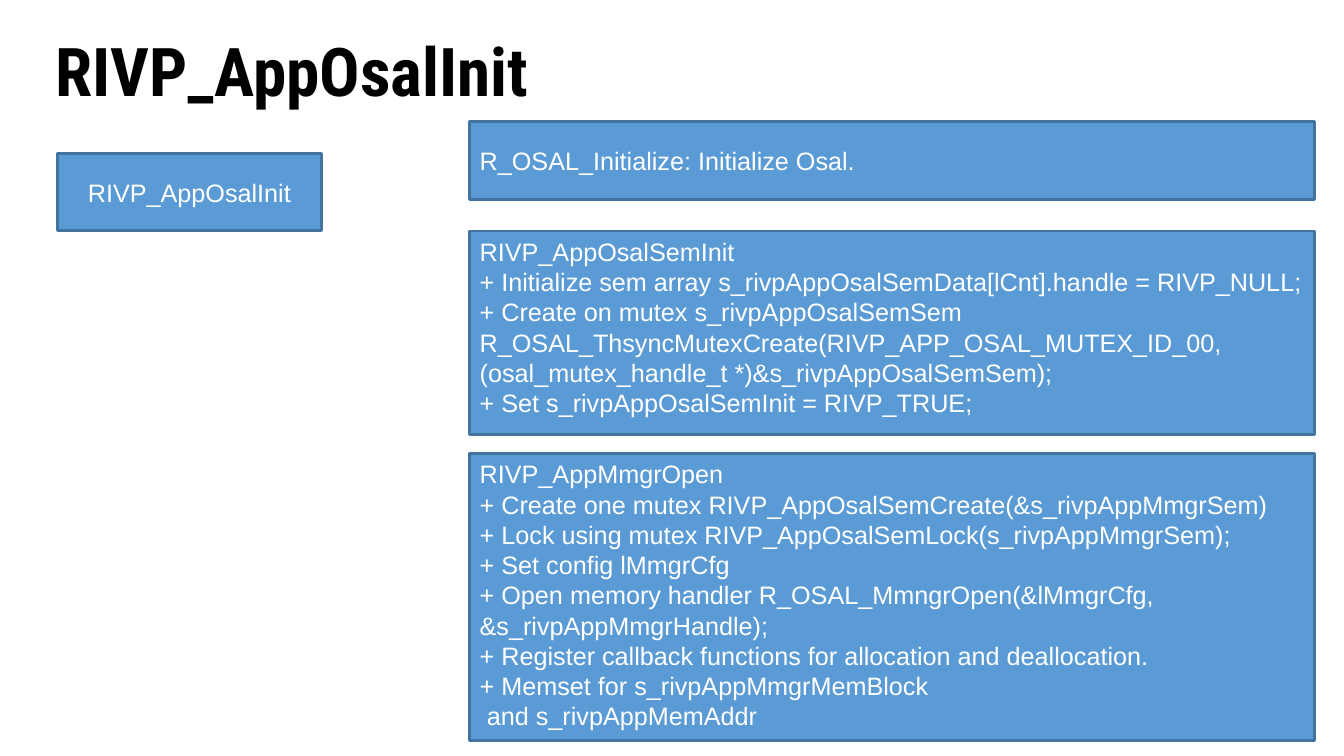
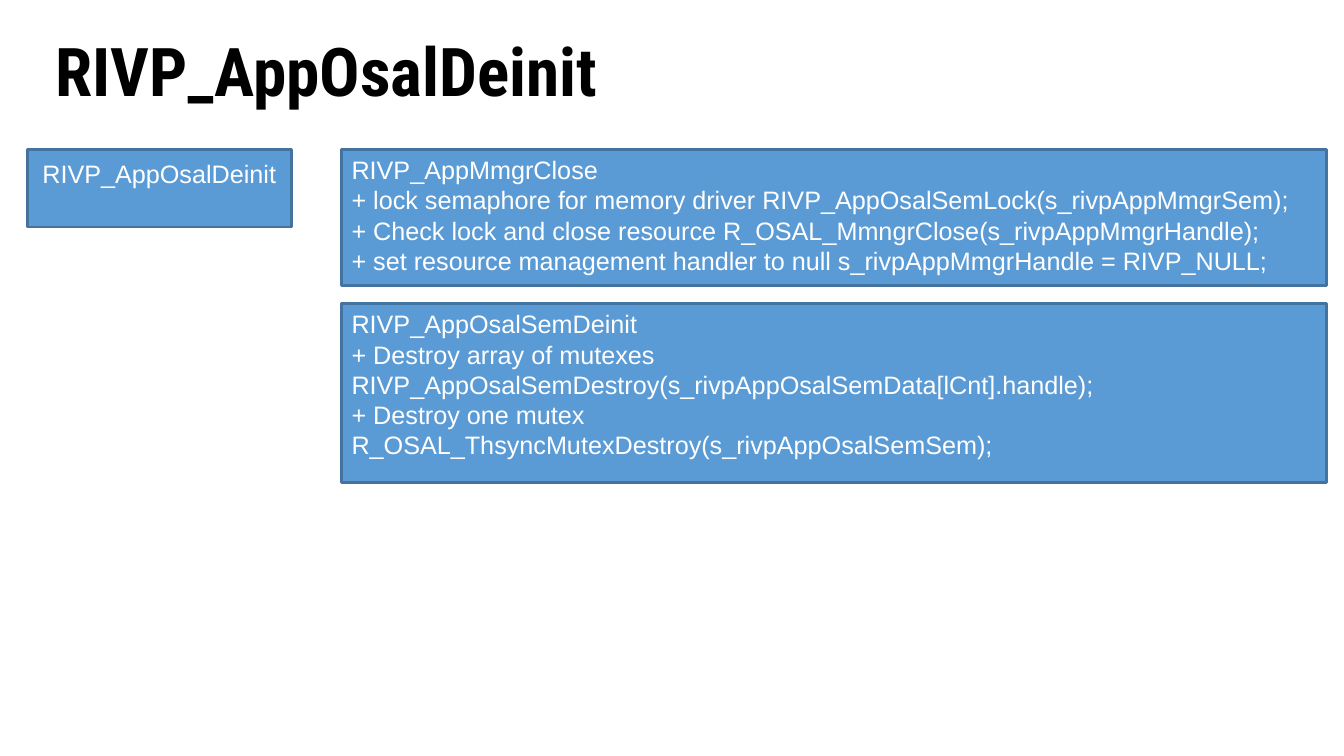
"""Build two slides that outline the OSAL start-up and shut-down calls."""
from dataclasses import dataclass

import pptx
import pptx.dml.color
import pptx.enum.shapes
import pptx.enum.text
import pptx.util

Cm = pptx.util.Cm
Anchor = pptx.enum.text.MSO_ANCHOR
Align = pptx.enum.text.PP_ALIGN
color = pptx.dml.color.RGBColor.from_string

SLIDES = [
    {
        "title": "RIVP_AppOsalInit",
        "label": {"left": 1.45, "top": 3.86, "anchor": Anchor.MIDDLE},
        "column": {"left": 11.84, "width": 21.29},
        "steps": [
            {"top": 3.07, "height": 1.96, "anchor": Anchor.MIDDLE,
             "lines": ["R_OSAL_Initialize: Initialize Osal."]},
            {"top": 5.82, "height": 5.13, "lines": [
                "RIVP_AppOsalSemInit",
                "+ Initialize sem array s_rivpAppOsalSemData[lCnt].handle = RIVP_NULL;",
                "+ Create on mutex s_rivpAppOsalSemSem "
                "R_OSAL_ThsyncMutexCreate(RIVP_APP_OSAL_MUTEX_ID_00, "
                "(osal_mutex_handle_t *)&s_rivpAppOsalSemSem);",
                "+ Set s_rivpAppOsalSemInit = RIVP_TRUE;",
            ]},
            {"top": 11.43, "height": 7.24, "indented": {"and s_rivpAppMemAddr"}, "lines": [
                "RIVP_AppMmgrOpen",
                "+ Create one mutex RIVP_AppOsalSemCreate(&s_rivpAppMmgrSem)",
                "+ Lock using mutex RIVP_AppOsalSemLock(s_rivpAppMmgrSem);",
                "+ Set config lMmgrCfg",
                "+ Open memory handler R_OSAL_MmngrOpen(&lMmgrCfg, &s_rivpAppMmgrHandle);",
                "+ Register callback functions for allocation and deallocation.",
                "+ Memset for s_rivpAppMmgrMemBlock",
                "and s_rivpAppMemAddr",
            ]},
        ],
    },
    {
        "title": "RIVP_AppOsalDeinit",
        "label": {"left": 0.69, "top": 3.76, "anchor": Anchor.TOP, "top_margin": 0.22},
        "column": {"left": 8.61, "width": 24.82},
        "steps": [
            {"top": 3.76, "height": 3.43, "lines": [
                "RIVP_AppMmgrClose",
                "+ lock semaphore for memory driver RIVP_AppOsalSemLock(s_rivpAppMmgrSem);",
                "+ Check lock and close resource R_OSAL_MmngrClose(s_rivpAppMmgrHandle);",
                "+ set resource management handler to null s_rivpAppMmgrHandle = RIVP_NULL;",
            ]},
            {"top": 7.65, "height": 4.5, "lines": [
                "RIVP_AppOsalSemDeinit",
                "+ Destroy array of mutexes "
                "RIVP_AppOsalSemDestroy(s_rivpAppOsalSemData[lCnt].handle);",
                "+ Destroy one mutex",
                "R_OSAL_ThsyncMutexDestroy(s_rivpAppOsalSemSem);",
            ]},
        ],
    },
]


@dataclass(frozen=True)
class Theme:
    title_font: str = "Roboto Condensed"
    body_font: str = "Arial"
    title_size: int = 48
    body_size: int = 18
    title_color: str = "000000"
    body_color: str = "FFFFFF"
    fill: str = "5B9BD5"
    line: str = "43739E"
    line_width: int = 2
    title_box: tuple = (1.22, 0.71, 31.42, 2.34)
    label_size: tuple = (6.65, 1.96)
    indent: float = 0.18


THEME = Theme()


def write_text(shape, lines, font=THEME.body_font, size=THEME.body_size,
               text_color=THEME.body_color, bold=False, align=Align.LEFT,
               anchor=Anchor.TOP, spacing=1.0, margins=(0.25, 0.13), indented=()):
    frame = shape.text_frame
    frame.word_wrap = True
    frame.vertical_anchor = anchor
    frame.margin_left = frame.margin_right = Cm(margins[0])
    frame.margin_top = Cm(margins[1])
    for index, line in enumerate(lines):
        paragraph = frame.add_paragraph() if index else frame.paragraphs[0]
        if line in indented:
            paragraph._p.get_or_add_pPr().set("marL", str(Cm(THEME.indent)))
        paragraph.alignment = align
        paragraph.line_spacing = spacing
        run = paragraph.add_run()
        run.text = line
        run.font.name = font
        run.font.size = pptx.util.Pt(size)
        run.font.bold = bold
        run.font.color.rgb = color(text_color)


def add_box(slide, box, lines, **text_format):
    shape = slide.shapes.add_shape(pptx.enum.shapes.MSO_SHAPE.RECTANGLE, *map(Cm, box))
    shape.shadow.inherit = False
    shape.fill.solid()
    shape.fill.fore_color.rgb = color(THEME.fill)
    shape.line.color.rgb = color(THEME.line)
    shape.line.width = pptx.util.Pt(THEME.line_width)
    write_text(shape, lines, **text_format)


def add_slide(presentation, content):
    slide = presentation.slides.add_slide(presentation.slide_layouts[6])
    title = slide.shapes.add_textbox(*map(Cm, THEME.title_box))
    write_text(title, [content["title"]], font=THEME.title_font, size=THEME.title_size,
               text_color=THEME.title_color, bold=True, anchor=Anchor.MIDDLE,
               spacing=0.9, margins=(0.18, 0.1))
    title.text_frame.margin_bottom = Cm(0.1)

    label = content["label"]
    add_box(slide, (label["left"], label["top"], *THEME.label_size), [content["title"]],
            align=Align.CENTER, anchor=label["anchor"],
            margins=(0.25, label.get("top_margin", 0.13)))

    column = content["column"]
    for step in content["steps"]:
        add_box(slide, (column["left"], step["top"], column["width"], step["height"]),
                step["lines"], anchor=step.get("anchor", Anchor.TOP),
                indented=step.get("indented", ()))


def main():
    presentation = pptx.Presentation()
    presentation.slide_width = Cm(33.87)
    presentation.slide_height = Cm(19.05)
    for content in SLIDES:
        add_slide(presentation, content)
    presentation.save("out.pptx")


if __name__ == "__main__":
    main()
